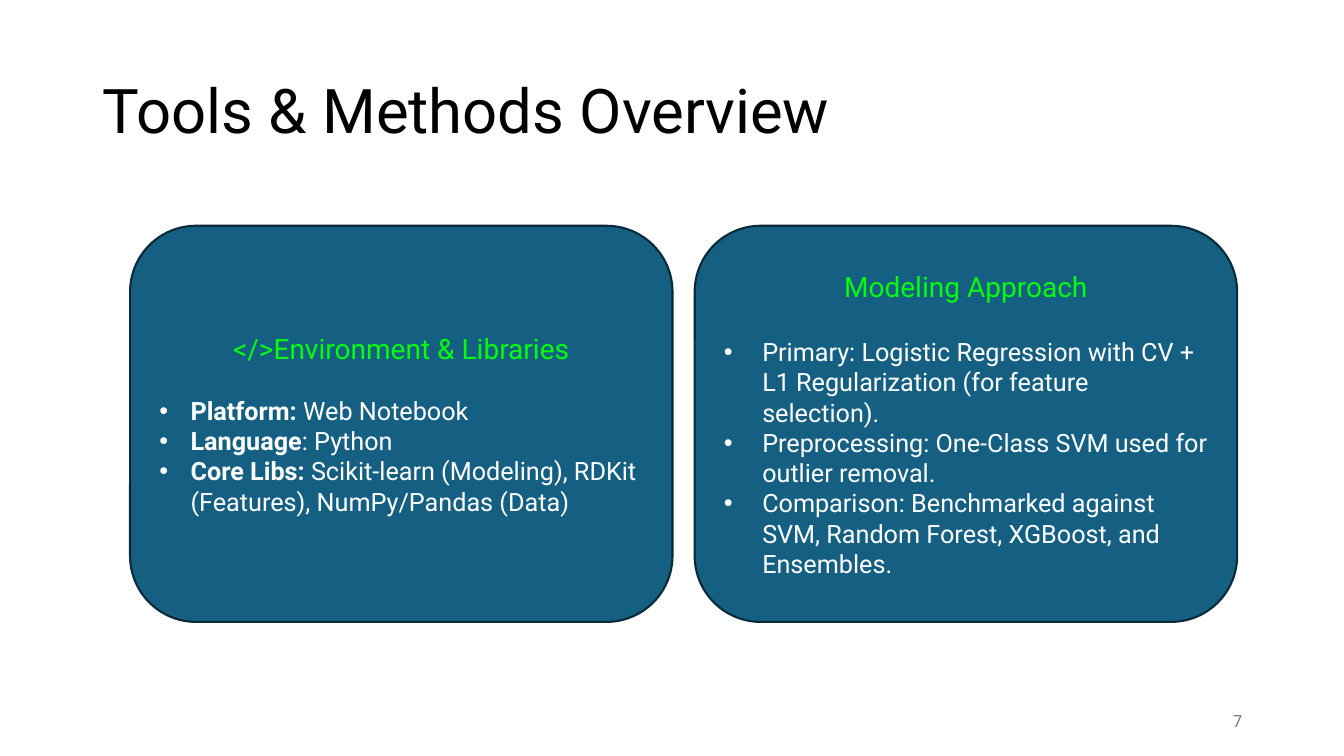
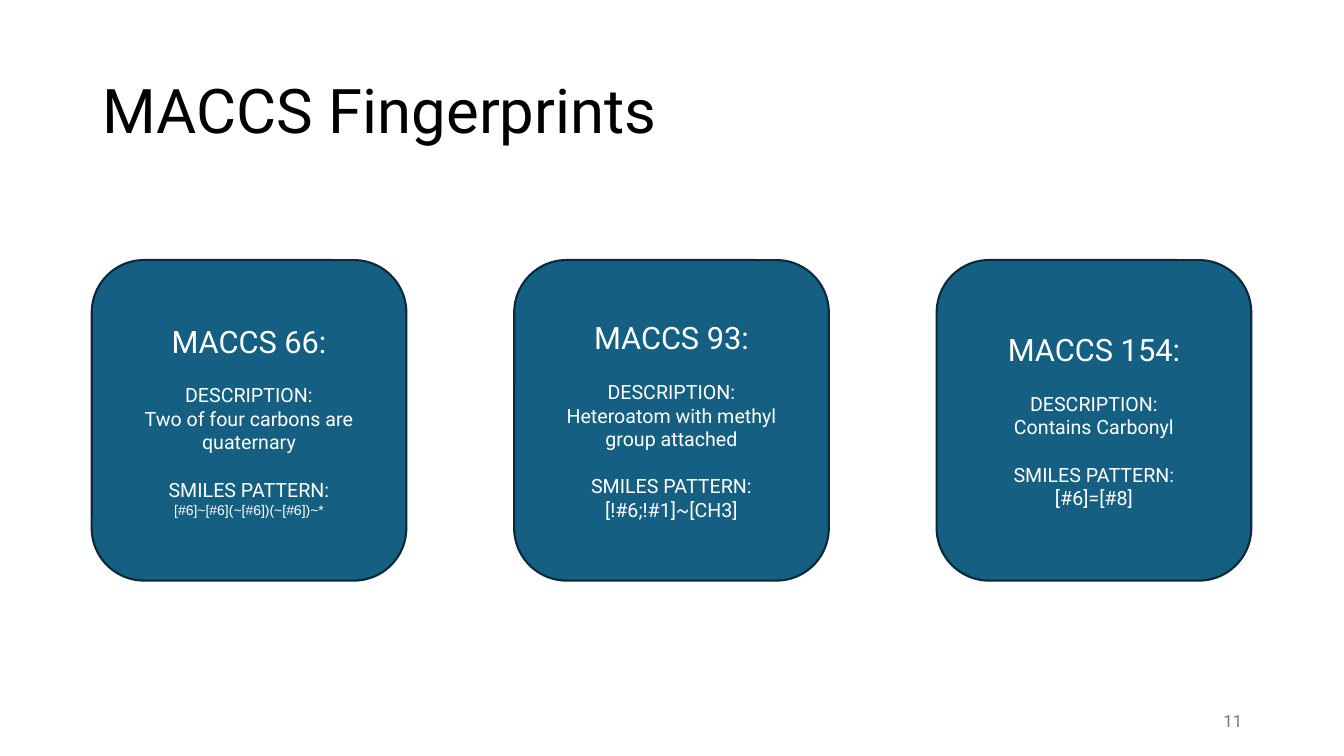
from dataclasses import dataclass
from lxml.etree import SubElement as Sub
from pptx import Presentation as Deck
from pptx.dml.color import RGBColor as Rgb
from pptx.enum.shapes import MSO_SHAPE as Kind
from pptx.enum.text import MSO_ANCHOR as Anchor, PP_ALIGN as Align
from pptx.oxml.ns import qn
from pptx.util import Inches, Pt


@dataclass(frozen=True)
class Theme:
    font: str = "Roboto"
    plain: str = "Arial"
    ink: str = "000000"
    card: str = "156082"
    edge: str = "092A39"
    lime: str = "05FC0D"
    white: str = "FFFFFF"
    gray: str = "797979"
    title: int = 44
    name: int = 22
    head: int = 20
    item: int = 18
    body: int = 14
    foot: int = 12
    code: int = 10
    line: float = 1.5


@dataclass(frozen=True)
class Box:
    x: float
    y: float
    w: float
    h: float

    def place(self):
        return [Inches(n) for n in (self.x, self.y, self.w, self.h)]

    def split(self, count, gap):
        wide = (self.w - gap * (count - 1)) / count
        return [Box(self.x + i * (wide + gap), self.y, wide, self.h)
                for i in range(count)]


T = Theme()
TITLE = Box(0.92, 0.4, 11.5, 1.45)
FOOT = Box(9.42, 6.95, 3, 0.4)
PAIR = Box(1.29, 2.24, 10.98, 3.93)
TRIO = Box(0.91, 2.58, 11.5, 3.18)

TOOLS = [
    ("</>Environment & Libraries", 0.31, 21.5, [
        ("Platform:", " Web Notebook"),
        ("Language", ": Python"),
        ("Core Libs:", " Scikit-learn (Modeling), RDKit (Features), NumPy/Pandas (Data)"),
    ]),
    ("Modeling Approach", 0.38, 24, [
        ("", "Primary: Logistic Regression with CV + L1 Regularization (for feature selection)."),
        ("", "Preprocessing: One-Class SVM used for outlier removal."),
        ("", "Comparison: Benchmarked against SVM, Random Forest, XGBoost, and Ensembles."),
    ]),
]
KEYS = [
    ("MACCS 66:", "Two of four carbons are quaternary",
     "[#6]~[#6](~[#6])(~[#6])~*", T.code, T.plain),
    ("MACCS 93:", "Heteroatom with methyl group attached",
     "[!#6;!#1]~[CH3]", T.body, T.font),
    ("MACCS 154:", "Contains Carbonyl", "[#6]=[#8]", T.body, T.font),
]


def add_run(para, text, size, color, bold=False, face=T.font):
    run = para.add_run()
    run.text = text
    font = run.font
    font.name, font.size, font.bold = face, Pt(size), bold
    font.color.rgb = Rgb.from_string(color)


def add_para(frame, align, gap=0):
    first = frame.paragraphs[0]
    para = frame.add_paragraph() if first.runs else first
    para.alignment = align
    if gap:
        para.space_before = Pt(gap)
    return para


def add_bullet(para, indent):
    props = para._p.get_or_add_pPr()
    props.set("marL", str(Inches(indent)))
    props.set("indent", str(-Inches(indent)))
    Sub(props, qn("a:buFont")).set("typeface", T.plain)
    Sub(props, qn("a:buChar")).set("char", "•")


def add_label(slide, box, text, size, color, align):
    frame = slide.shapes.add_textbox(*box.place()).text_frame
    frame.word_wrap = True
    frame.vertical_anchor = Anchor.MIDDLE
    para = add_para(frame, align)
    add_run(para, text, size, color)
    return para


def add_card(slide, box):
    card = slide.shapes.add_shape(Kind.ROUNDED_RECTANGLE, *box.place())
    card.shadow.inherit = False
    card.fill.solid()
    card.fill.fore_color.rgb = Rgb.from_string(T.card)
    card.line.color.rgb = Rgb.from_string(T.edge)
    card.line.width = Pt(T.line)
    frame = card.text_frame
    frame.word_wrap = True
    frame.vertical_anchor = Anchor.MIDDLE
    return frame


def add_tool(slide, box, head, indent, gap, items):
    frame = add_card(slide, box)
    add_run(add_para(frame, Align.CENTER), head, T.head, T.lime)
    for i, (label, text) in enumerate(items):
        para = add_para(frame, Align.LEFT, 0 if i else gap)
        add_bullet(para, indent)
        if label:
            add_run(para, label, T.item, T.white, True)
        add_run(para, text, T.item, T.white)


def add_key(slide, box, name, about, code, size, face):
    frame = add_card(slide, box)
    add_run(add_para(frame, Align.CENTER), name, T.name, T.white)
    parts = [("DESCRIPTION:", about, T.body, T.font),
             ("SMILES PATTERN:", code, size, face)]
    for label, text, pts, kind in parts:
        add_run(add_para(frame, Align.CENTER, 17), label, T.body, T.white)
        add_run(add_para(frame, Align.CENTER), text, pts, T.white, face=kind)


def add_page(deck, title, number, area, gap, draw, cards):
    slide = deck.slides.add_slide(deck.slide_layouts[6])
    head = add_label(slide, TITLE, title, T.title, T.ink, Align.LEFT)
    head.line_spacing = 0.9
    for box, card in zip(area.split(len(cards), gap), cards):
        draw(slide, box, *card)
    add_label(slide, FOOT, number, T.foot, T.gray, Align.RIGHT)


def main():
    deck = Deck()
    deck.slide_width, deck.slide_height = Inches(13.33), Inches(7.5)
    add_page(deck, "Tools & Methods Overview", "7", PAIR, 0.22, add_tool, TOOLS)
    add_page(deck, "MACCS Fingerprints", "11", TRIO, 1.07, add_key, KEYS)
    deck.save("out.pptx")


if __name__ == "__main__":
    main()
